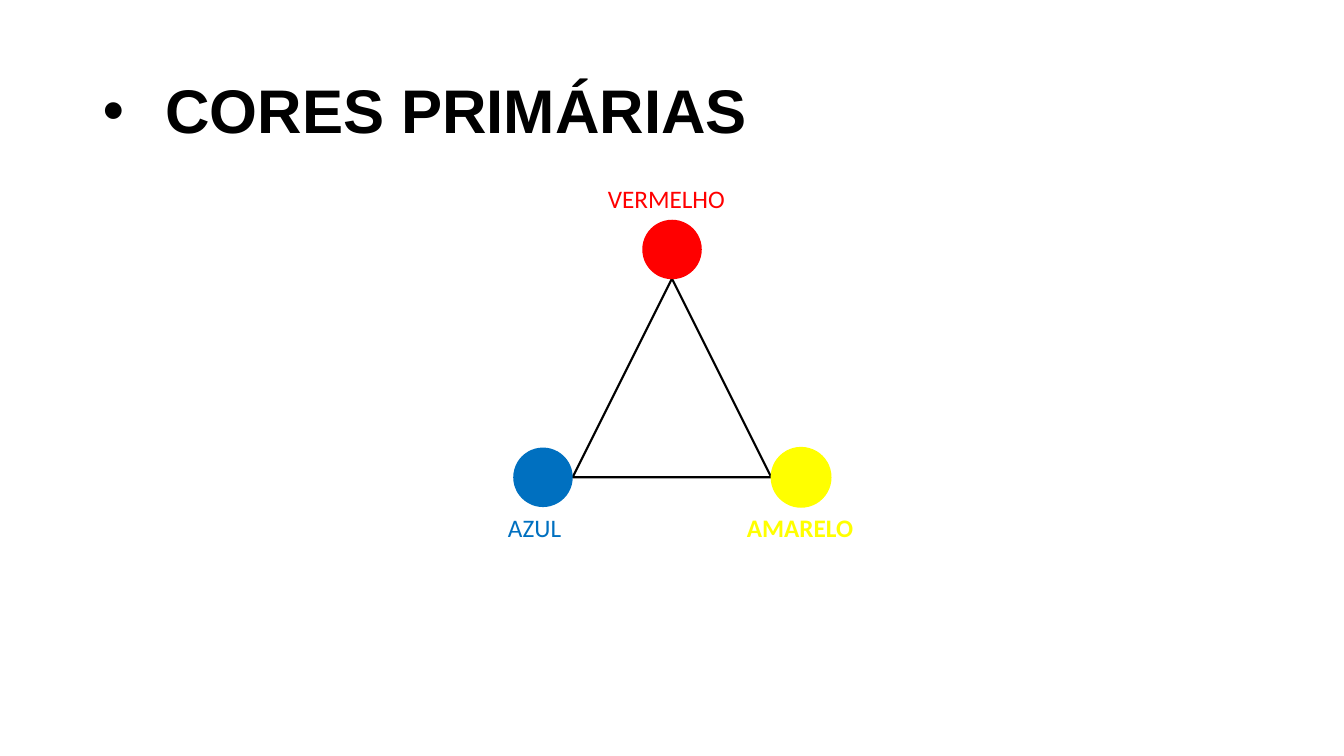
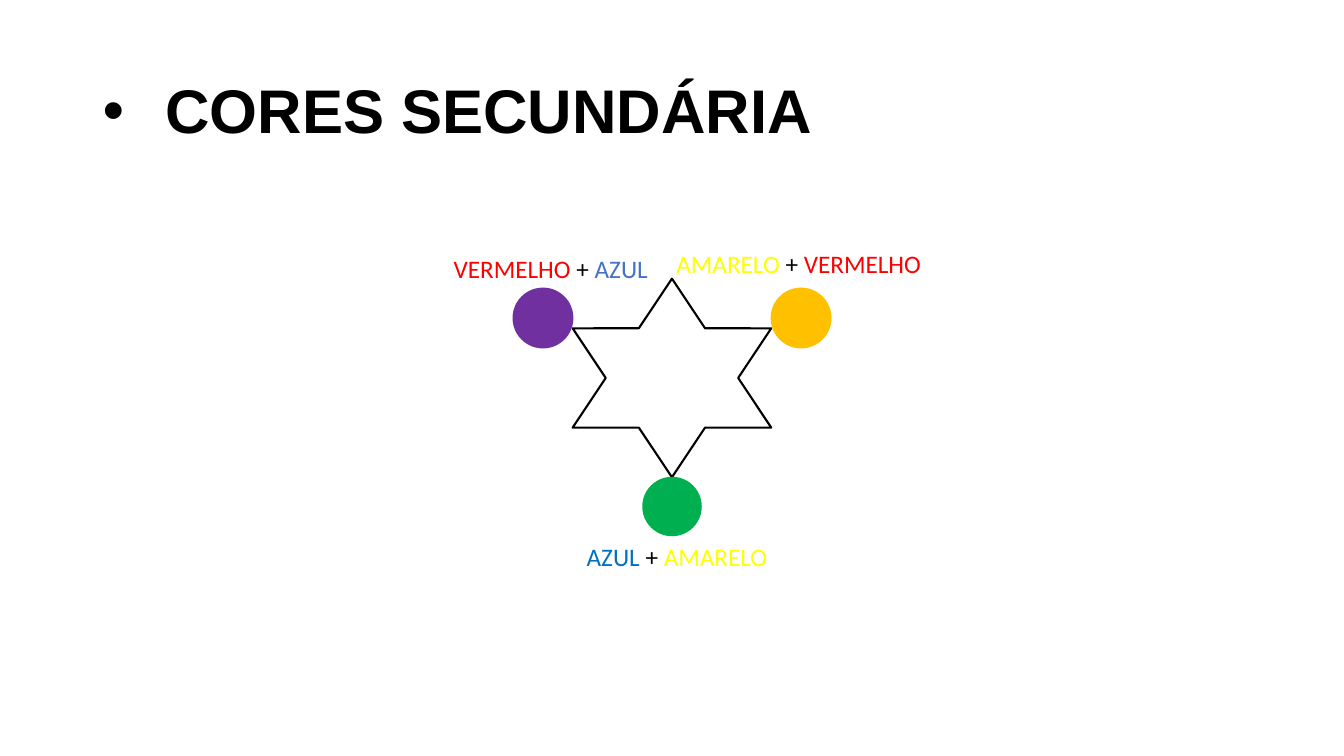
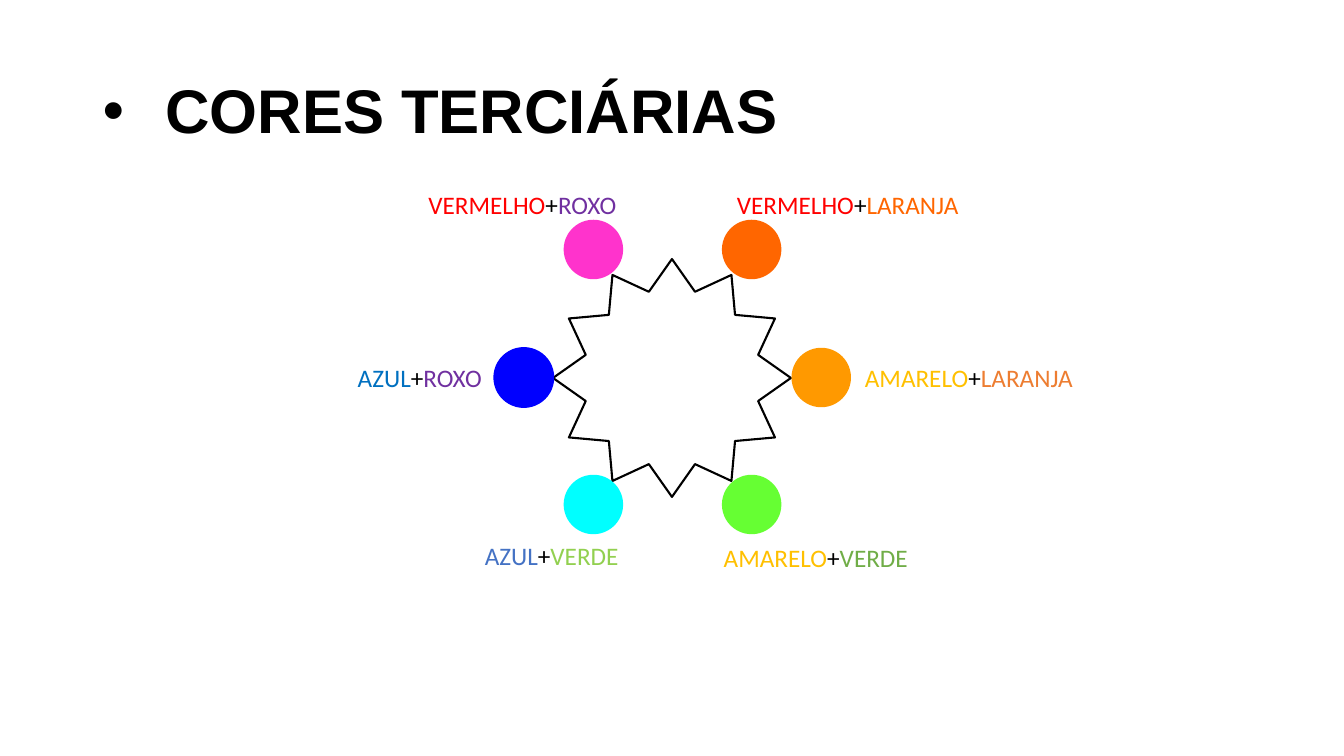
from dataclasses import dataclass

from pptx import Presentation
from pptx import util as u
from pptx.dml.color import RGBColor
from pptx.enum import shapes, text
from pptx.oxml.ns import qn


@dataclass(frozen=True)
class Theme:
    """Colours, fonts and type sizes shared by the slides."""
    black: str = "000000"
    white: str = "FFFFFF"
    red: str = "FF0000"
    blue: str = "0070C0"
    soft_blue: str = "4472C4"
    deep_blue: str = "0000FF"
    yellow: str = "FFFF00"
    gold: str = "FFC000"
    amber: str = "FF9900"
    orange: str = "FF6600"
    soft_orange: str = "ED7D31"
    purple: str = "7030A0"
    pink: str = "FF33CC"
    cyan: str = "00FFFF"
    green: str = "00B050"
    soft_green: str = "70AD47"
    light_green: str = "92D050"
    lime: str = "66FF33"
    title_font: str = "Arial"
    label_font: str = "Calibri"
    title_size: int = 44
    label_size: int = 18


theme = Theme()
DOT = 0.59
LABEL_HEIGHT = 0.4
CENTRE_X, CENTRE_Y = 6.665, 3.75
TITLE_INDENT = u.Inches(0.62)
PLUS = ("+", theme.black)
SPACED_PLUS = ("+ ", theme.black)
SHAPE = shapes.MSO_SHAPE


def add_figure(slide, kind, left, top, size, fill=None, line=None, width=1):
    """Add a square preset shape with an optional fill and outline."""
    figure = slide.shapes.add_shape(
        kind, u.Inches(left), u.Inches(top), u.Inches(size), u.Inches(size))
    figure.shadow.inherit = False
    if fill:
        figure.fill.solid()
        figure.fill.fore_color.rgb = RGBColor.from_string(fill)
    else:
        figure.fill.background()
    if line:
        figure.line.color.rgb = RGBColor.from_string(line)
        figure.line.width = u.Pt(width)
    else:
        figure.line.fill.background()


def add_words(slide, box, words, font, size, bold=False):
    """Add a text box of coloured words and return its frame and paragraph."""
    frame = slide.shapes.add_textbox(*map(u.Inches, box)).text_frame
    frame.word_wrap = True
    paragraph = frame.paragraphs[0]
    paragraph.font.name = font
    paragraph.font.size = u.Pt(size)
    paragraph.font.bold = bold
    for word, colour in words:
        run = paragraph.add_run()
        run.text = word
        run.font.color.rgb = RGBColor.from_string(colour)
    return frame, paragraph


# Per slide: title, central figure (preset, size, fill),
# dots (left, top, fill, outlined), labels (left, top, width, bold, words)
wheels = [
    ("CORES PRIMÁRIAS",
     (SHAPE.ISOSCELES_TRIANGLE, 1.97, theme.white),
     [(6.37, 2.18, theme.red, False),
      (5.09, 4.44, theme.blue, False),
      (7.65, 4.44, theme.yellow, True)],
     [(5.93, 1.77, 1.47, False, [("VERMELHO", theme.red)]),
      (4.94, 5.03, 0.9, False, [("AZUL", theme.blue)]),
      (7.31, 5.03, 1.27, True, [("AMARELO", theme.yellow)])]),
    ("CORES SECUNDÁRIA",
     (SHAPE.STAR_6_POINT, 1.97, theme.white),
     [(5.09, 2.86, theme.purple, True),
      (6.37, 4.73, theme.green, False),
      (7.65, 2.86, theme.gold, True)],
     [(4.4, 2.46, 2.27, False,
       [("VERMELHO ", theme.red), SPACED_PLUS, ("AZUL", theme.soft_blue)]),
      (6.61, 2.41, 2.68, False,
       [("AMARELO ", theme.yellow), SPACED_PLUS, ("VERMELHO", theme.red)]),
      (5.72, 5.32, 2.01, False,
       [("AZUL ", theme.blue), SPACED_PLUS, ("AMARELO", theme.yellow)])]),
    ("CORES TERCIÁRIAS",
     (SHAPE.STAR_12_POINT, 2.36, None),
     [(5.59, 2.18, theme.pink, False),
      (4.9, 3.45, theme.deep_blue, True),
      (5.59, 4.71, theme.cyan, False),
      (7.16, 4.71, theme.lime, False),
      (7.85, 3.45, theme.amber, False),
      (7.16, 2.18, theme.orange, False)],
     [(4.15, 1.83, 2.08, False,
       [("VERMELHO", theme.red), PLUS, ("ROXO", theme.purple)]),
      (7.21, 1.83, 2.42, False,
       [("VERMELHO", theme.red), PLUS, ("LARANJA", theme.orange)]),
      (3.45, 3.55, 1.44, False,
       [("AZUL", theme.blue), PLUS, ("ROXO", theme.purple)]),
      (4.71, 5.31, 1.54, False,
       [("AZUL", theme.soft_blue), PLUS, ("VERDE", theme.light_green)]),
      (7.08, 5.33, 2.04, False,
       [("AMARELO", theme.gold), PLUS, ("VERDE", theme.soft_green)]),
      (8.48, 3.55, 2.28, False,
       [("AMARELO", theme.gold), PLUS, ("LARANJA", theme.soft_orange)])]),
]

deck = Presentation()
deck.slide_width = u.Inches(13.33)
deck.slide_height = u.Inches(7.5)

for title, (kind, size, fill), dots, labels in wheels:
    slide = deck.slides.add_slide(deck.slide_layouts[6])

    frame, heading = add_words(
        slide, (0.92, 0.4, 11.5, 1.45), [(title, theme.black)],
        theme.title_font, theme.title_size, bold=True)
    frame.vertical_anchor = text.MSO_ANCHOR.MIDDLE
    heading.line_spacing = 0.9
    props = heading._p.get_or_add_pPr()
    props.set("marL", str(TITLE_INDENT))
    props.set("indent", str(-TITLE_INDENT))
    bullet_font = props.makeelement(qn("a:buFont"), {"typeface": theme.title_font})
    bullet = props.makeelement(qn("a:buChar"), {"char": "•"})
    defaults = props.find(qn("a:defRPr"))
    defaults.addprevious(bullet_font)
    defaults.addprevious(bullet)

    add_figure(slide, kind, CENTRE_X - size / 2, CENTRE_Y - size / 2, size,
               fill, theme.black, 1.5)
    for left, top, colour, outlined in dots:
        add_figure(slide, SHAPE.OVAL, left, top, DOT, colour,
                   colour if outlined else None)
    for left, top, width, bold, words in labels:
        frame, _ = add_words(slide, (left, top, width, LABEL_HEIGHT), words,
                             theme.label_font, theme.label_size, bold)
        frame.auto_size = text.MSO_AUTO_SIZE.SHAPE_TO_FIT_TEXT

deck.save("out.pptx")
